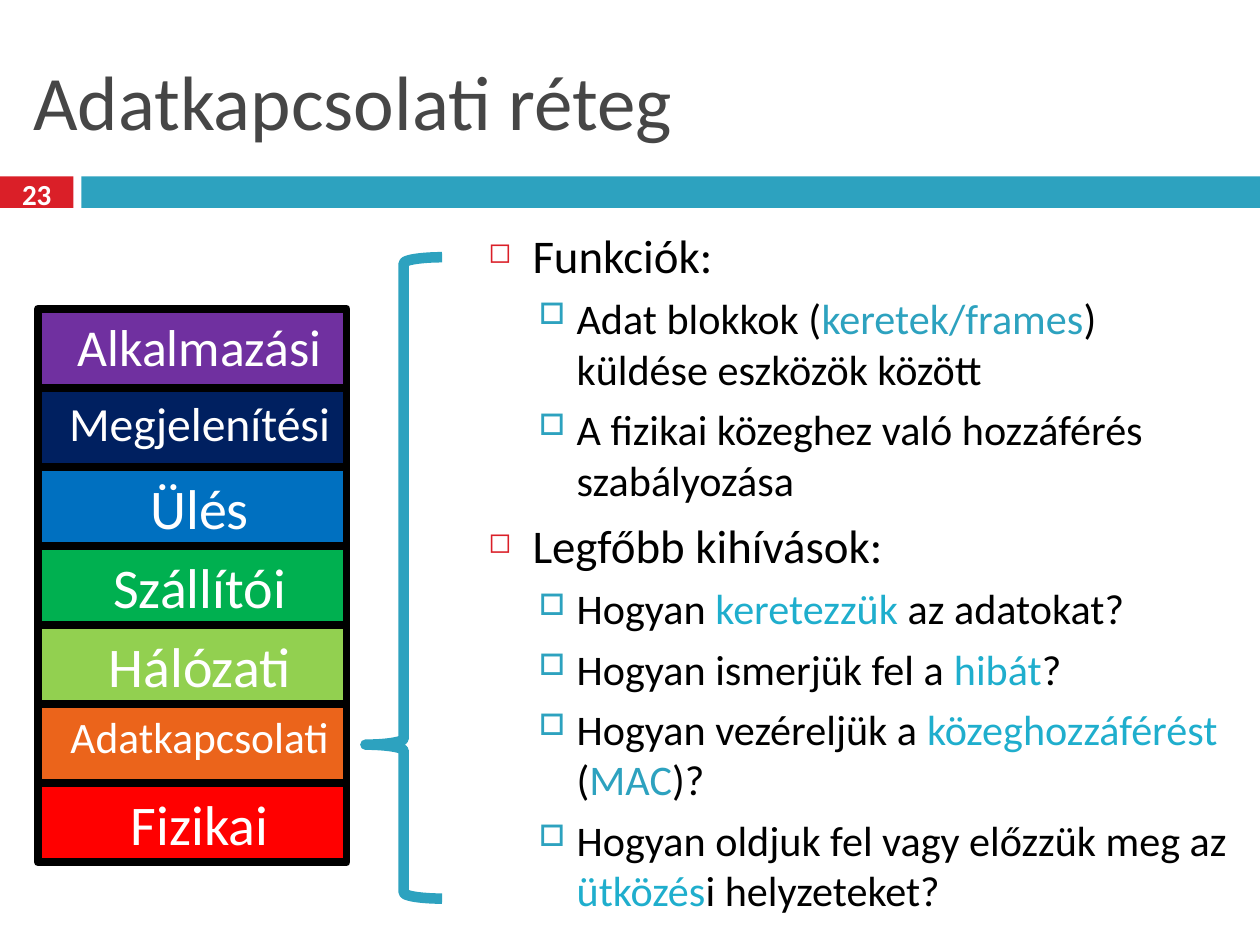
"""Build the slide on the data link layer: layer stack, brace and bullet list."""
from dataclasses import dataclass

from lxml import etree
from pptx import Presentation
from pptx.dml.color import RGBColor
from pptx.enum.shapes import MSO_SHAPE
from pptx.enum.text import MSO_ANCHOR, PP_ALIGN
from pptx.oxml.ns import qn
from pptx.util import Pt


@dataclass(frozen=True)
class Theme:
    font: str = "Calibri"
    title: str = "464646"
    text: str = "000000"
    white: str = "FFFFFF"
    red: str = "DA1F28"
    teal: str = "2DA2BF"
    cyan: str = "1FAECD"
    title_size: float = 44
    number_size: float = 16.6
    heading_size: float = 26.8
    point_size: float = 24.1


theme = Theme()


def style_run(run, size, color, bold=False):
    run.font.name = theme.font
    run.font.size = Pt(size)
    run.font.bold = bold
    run.font.color.rgb = RGBColor.from_string(color)


def add_box(kind, left, top, width, height, fill=None, line=None, weight=0):
    box = slide.shapes.add_shape(kind, Pt(left), Pt(top), Pt(width), Pt(height))
    box.shadow.inherit = False
    if fill:
        box.fill.solid()
        box.fill.fore_color.rgb = RGBColor.from_string(fill)
    else:
        box.fill.background()
    if line:
        box.line.color.rgb = RGBColor.from_string(line)
        box.line.width = Pt(weight)
    else:
        box.line.fill.background()
    return box


prs = Presentation()
prs.slide_width, prs.slide_height = Pt(720), Pt(540)
slide = prs.slides.add_slide(prs.slide_layouts[6])

add_box(MSO_SHAPE.RECTANGLE, 0, 100.8, 42, 18, theme.red)
add_box(MSO_SHAPE.RECTANGLE, 46.5, 100.8, 673.5, 18, theme.teal)

labels = [
    ("Adatkapcsolati réteg", 12, 18, 696, 78, theme.title_size, theme.title, False, PP_ALIGN.LEFT),
    ("23", 0, 98.6, 42, 24, theme.number_size, theme.white, True, PP_ALIGN.CENTER),
]
for words, left, top, width, height, size, color, bold, align in labels:
    label = slide.shapes.add_textbox(Pt(left), Pt(top), Pt(width), Pt(height)).text_frame
    label.word_wrap = True
    label.vertical_anchor = MSO_ANCHOR.MIDDLE
    label.text = words
    label.paragraphs[0].alignment = align
    style_run(label.paragraphs[0].runs[0], size, color, bold)

heading = dict(size=theme.heading_size, margin=25.2, hanging=25.2, before=7,
               bullet="◻", bullet_color=theme.red, bullet_scale=60)
point = dict(size=theme.point_size, margin=50.4, hanging=21.6, before=5.5,
             bullet="□", bullet_color=theme.teal, bullet_scale=70)
outline = [
    (heading, [("Funkciók:", theme.text)]),
    (point, [("Adat blokkok (", theme.text), ("keretek/frames", theme.teal),
             (") küldése eszközök között", theme.text)]),
    (point, [("A fizikai közeghez való hozzáférés szabályozása", theme.text)]),
    (heading, [("Legfőbb kihívások:", theme.text)]),
    (point, [("Hogyan ", theme.text), ("keretezzük", theme.cyan), (" az adatokat?", theme.text)]),
    (point, [("Hogyan ismerjük fel a ", theme.text), ("hibát", theme.cyan), ("?", theme.text)]),
    (point, [("Hogyan vezéreljük a ", theme.text), ("közeghozzáférést ", theme.cyan),
             ("(", theme.text), ("MAC", theme.teal), (")?", theme.text)]),
    (point, [("Hogyan oldjuk fel vagy előzzük meg az ", theme.text), ("ütközés", theme.cyan),
             ("i helyzeteket?", theme.text)]),
]
body = slide.shapes.add_textbox(Pt(272), Pt(126), Pt(436.5), Pt(402)).text_frame
body.word_wrap = True
for index, (style, pieces) in enumerate(outline):
    paragraph = body.add_paragraph() if index else body.paragraphs[0]
    paragraph.level = 1 if style is point else 0
    paragraph.space_before = Pt(style["before"])
    for words, color in pieces:
        run = paragraph.add_run()
        run.text = words
        style_run(run, style["size"], color)
    properties = paragraph._p.get_or_add_pPr()
    properties.set("marL", str(Pt(style["margin"])))
    properties.set("indent", str(-Pt(style["hanging"])))
    bullet_color = etree.SubElement(properties, qn("a:buClr"))
    etree.SubElement(bullet_color, qn("a:srgbClr"), val=style["bullet_color"])
    etree.SubElement(properties, qn("a:buSzPct"), val=str(style["bullet_scale"] * 1000))
    etree.SubElement(properties, qn("a:buChar"), char=style["bullet"])

layers = [
    ("Alkalmazási", "7030A0", 29.6),
    ("Megjelenítési", "002060", 27.2),
    ("Ülés", "0070C0", 32),
    ("Szállítói", "00B050", 32),
    ("Hálózati", "92D050", 32),
    ("Adatkapcsolati", "EB641B", 24.8),
    ("Fizikai", "FF0000", 32),
]
layer_height = 45.2
for index, (words, fill, size) in enumerate(layers):
    layer = add_box(MSO_SHAPE.RECTANGLE, 21.6, 176.4 + index * layer_height, 176.4,
                    layer_height, fill, theme.text, 4.5)
    layer.text_frame.word_wrap = True
    layer.text_frame.vertical_anchor = MSO_ANCHOR.TOP
    layer.text_frame.text = words
    paragraph = layer.text_frame.paragraphs[0]
    paragraph.alignment = PP_ALIGN.CENTER
    paragraph._p.get_or_add_pPr().set("marL", str(Pt(8.64)))
    style_run(paragraph.runs[0], size, theme.white)

brace = add_box(MSO_SHAPE.LEFT_BRACE, 208.8, 147, 43.8, 366.5, line=theme.teal, weight=6)
brace.adjustments[0] = 0.08
brace.adjustments[1] = 0.76

prs.save("out.pptx")
